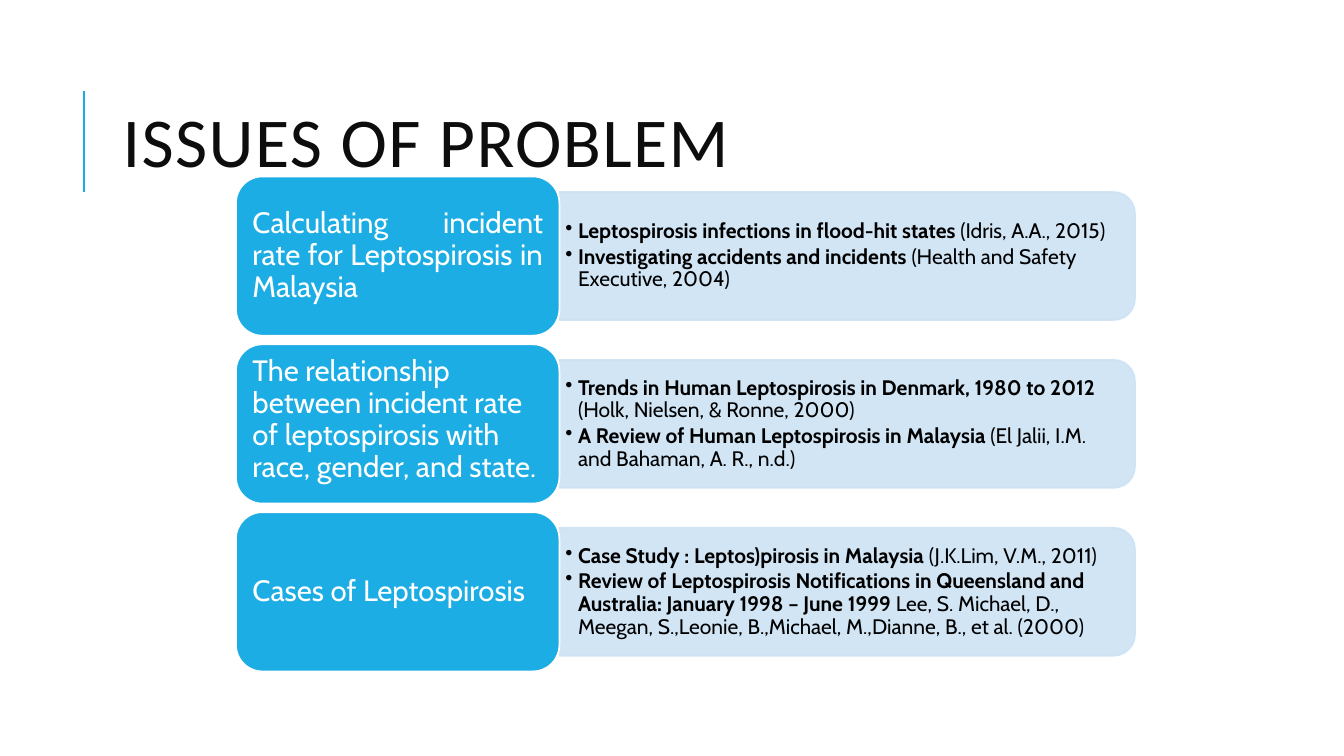
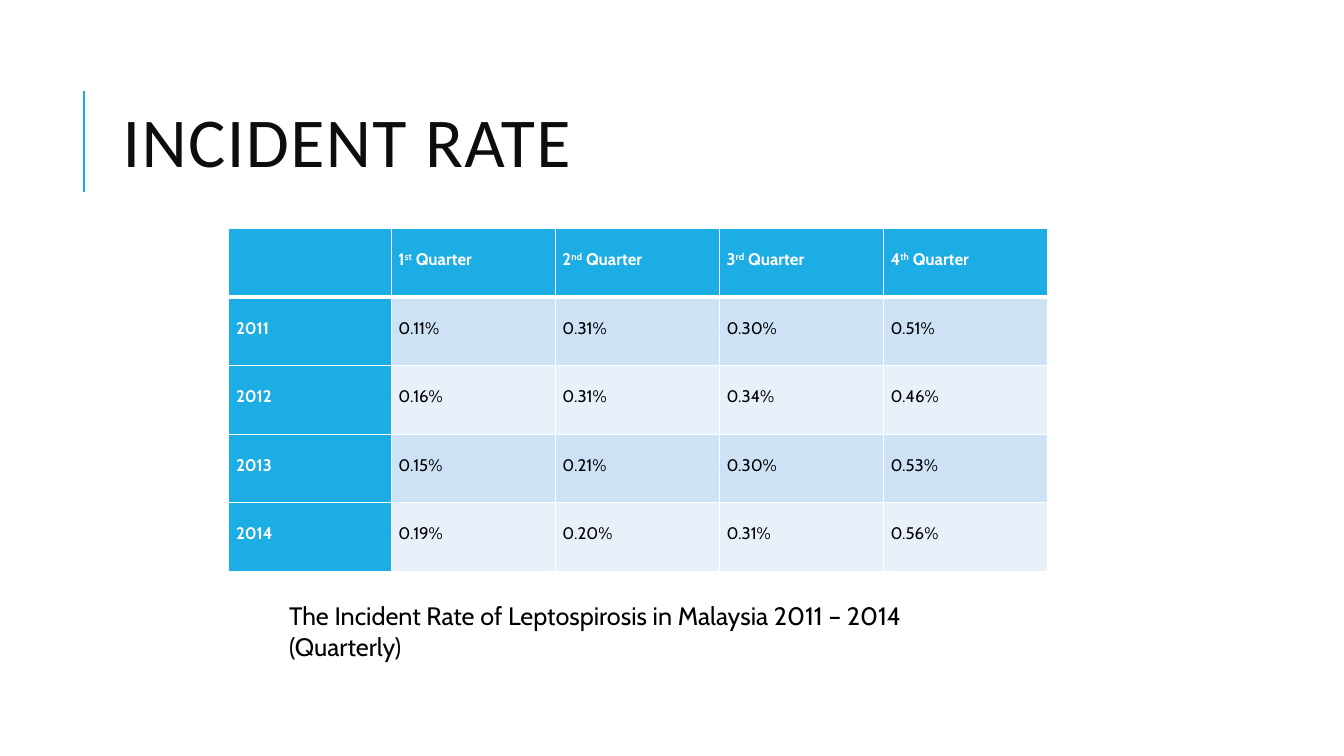
from lxml import etree
from pptx import Presentation
from pptx.dml.color import RGBColor
from pptx.enum.shapes import MSO_CONNECTOR, MSO_SHAPE
from pptx.enum.text import MSO_ANCHOR, PP_ALIGN
from pptx.oxml.ns import qn
from pptx.util import Pt

ROUNDED, TAB = MSO_SHAPE.ROUNDED_RECTANGLE, MSO_SHAPE.ROUND_2_SAME_RECTANGLE
STRAIGHT = MSO_CONNECTOR.STRAIGHT
TOP, MIDDLE = MSO_ANCHOR.TOP, MSO_ANCHOR.MIDDLE
LEFT, JUSTIFY = PP_ALIGN.LEFT, PP_ALIGN.JUSTIFY


def rgb(value):
    return RGBColor.from_string(value)


def write(frame, paragraphs, size=18, color="000000", font="Cabin", bold=False,
          align=LEFT, line=1.0, after=0, bullet=0, tracking=0,
          anchor=TOP, margins=(7.2, 3.6)):
    """Fill a frame; each paragraph is a list of (text, run options)."""
    frame.word_wrap = True
    frame.vertical_anchor = anchor
    frame.margin_left = frame.margin_right = Pt(margins[0])
    frame.margin_top = frame.margin_bottom = Pt(margins[1])
    for index, runs in enumerate(paragraphs):
        paragraph = frame.add_paragraph() if index else frame.paragraphs[0]
        paragraph.alignment = align
        paragraph.line_spacing = line
        paragraph.space_after = Pt(after)
        if bullet:
            properties = paragraph._p.get_or_add_pPr()
            properties.set("marL", str(Pt(bullet)))
            properties.set("indent", str(-Pt(bullet)))
            etree.SubElement(properties, qn("a:buChar"), char="•")
        for text, options in runs:
            run = paragraph.add_run()
            run.text = text
            run.font.name = font
            run.font.size = Pt(size)
            run.font.bold = options.get("bold", bold)
            run.font.color.rgb = rgb(color)
            properties = run._r.get_or_add_rPr()
            if tracking:
                properties.set("spc", str(tracking * 100))
            if options.get("superscript"):
                properties.set("baseline", "30000")


def plain(text):
    return [[(text, {})]]


class Deck:
    accent, pale, paler = "1CADE4", "CDE3F5", "E8F1FA"
    white, title_ink = "FFFFFF", "0D0D0D"

    def __init__(self):
        self.file = Presentation()
        self.file.slide_width, self.file.slide_height = Pt(960), Pt(540)
        self.slide = None

    def new_slide(self, title):
        self.slide = self.file.slides.add_slide(self.file.slide_layouts[6])
        self.rule(60, 136.8, 60, 64.8)
        self.text(80.6, 46.1, 765.4, 118.1, plain(title), size=50, font="Calibri",
                  color=self.title_ink, line=0.8, tracking=1, anchor=MIDDLE)

    def rule(self, x1, y1, x2, y2):
        rule = self.slide.shapes.add_connector(STRAIGHT, Pt(x1), Pt(y1), Pt(x2), Pt(y2))
        rule.line.color.rgb = rgb(self.accent)
        rule.line.width = Pt(1.5)
        etree.SubElement(rule._element.spPr, qn("a:effectLst"))

    def text(self, left, top, width, height, paragraphs, **style):
        box = self.slide.shapes.add_textbox(Pt(left), Pt(top), Pt(width), Pt(height))
        write(box.text_frame, paragraphs, **style)

    def shape(self, kind, left, top, width, height, fill, line, opacity=100):
        shape = self.slide.shapes.add_shape(kind, Pt(left), Pt(top), Pt(width), Pt(height))
        shape.shadow.inherit = False
        shape.fill.solid()
        shape.fill.fore_color.rgb = rgb(fill)
        shape.line.color.rgb = rgb(line)
        shape.line.width = Pt(1.25)
        if opacity < 100:
            for color in shape._element.spPr.iter(qn("a:srgbClr")):
                etree.SubElement(color, qn("a:alpha"), val=str(opacity * 1000))
        return shape

    def side_tab(self, left, middle, width, height):
        # Turned a quarter so that the rounded corners face right
        tab = self.shape(TAB, left + (width - height) / 2, middle - width / 2,
                         height, width, self.pale, self.pale, opacity=90)
        tab.rotation = 90

    def table(self, left, top, widths, row_height, rows):
        count = len(rows)
        table = self.slide.shapes.add_table(
            count, len(widths), Pt(left), Pt(top),
            Pt(sum(widths)), Pt(row_height * count)).table
        table.first_row = table.horz_banding = False
        for column, width in zip(table.columns, widths):
            column.width = Pt(width)
        for r, row in enumerate(rows):
            table.rows[r].height = Pt(row_height)
            for c, runs in enumerate(row):
                header = r == 0 or c == 0
                band = self.pale if r % 2 else self.paler
                self.cell(table.cell(r, c), runs, header, self.accent if header else band,
                          top=3 if r == 1 else 1, bottom=3 if r == 0 else 1)

    def cell(self, cell, runs, header, fill, top, bottom):
        properties = cell._tc.get_or_add_tcPr()
        for side, width in (("L", 1), ("R", 1), ("T", top), ("B", bottom)):
            border = etree.SubElement(properties, qn("a:ln" + side), w=str(Pt(width)))
            paint = etree.SubElement(border, qn("a:solidFill"))
            etree.SubElement(paint, qn("a:srgbClr"), val=self.white)
        cell.fill.solid()
        cell.fill.fore_color.rgb = rgb(fill)
        cell.margin_left = cell.margin_right = Pt(5.2)
        cell.margin_top = cell.margin_bottom = 0
        if runs:
            frame = cell.text_frame
            write(frame, [runs], size=12, bold=header, margins=(5.2, 0), align=JUSTIFY,
                  color=self.white if header else "000000", line=2.0, after=8)


deck = Deck()

# Slide 1: each issue with its supporting literature
deck.new_slide("ISSUES OF PROBLEM")
issues = [
    ("Calculating incident rate for Leptospirosis in Malaysia", JUSTIFY, MIDDLE, [
        ("Leptospirosis infections in flood-hit states ", "(Idris, A.A., 2015)"),
        ("Investigating accidents and incidents ", "(Health and Safety Executive, 2004)")]),
    ("The relationship between incident rate of leptospirosis with race, gender, and state.",
     LEFT, TOP, [
         ("Trends in Human Leptospirosis in Denmark, 1980 to 2012 ",
          "(Holk, Nielsen, & Ronne, 2000)"),
         ("A Review of Human Leptospirosis in Malaysia ",
          "(El Jalii, I.M. and Bahaman, A. R., n.d.)")]),
    ("Cases of Leptospirosis", JUSTIFY, MIDDLE, [
        ("Case Study : Leptos)pirosis in Malaysia ", "(J.K.Lim, V.M., 2011)"),
        ("Review of Leptospirosis Notifications in Queensland and Australia: "
         "January 1998 – June 1999 ",
         "Lee, S. Michael, D., Meegan, S.,Leonie, B.,Michael, M.,Dianne, B., et al. (2000)")]),
]
ISSUE_LEFT, ISSUE_TOP, ISSUE_WIDTH, ISSUE_HEIGHT, PITCH = 168.5, 126, 231.1, 113.8, 119.9
SOURCES_LEFT = ISSUE_LEFT + ISSUE_WIDTH
for number, (issue, align, anchor, sources) in enumerate(issues):
    top = ISSUE_TOP + number * PITCH
    middle = top + ISSUE_HEIGHT / 2
    deck.side_tab(SOURCES_LEFT, middle, 411.1, 91.4)
    citations = [[(work, {"bold": True}), (author, {})] for work, author in sources]
    deck.text(SOURCES_LEFT, middle - 41, 406, 82, citations, size=15, line=0.9,
              after=2, bullet=9, anchor=MIDDLE, margins=(4.3, 2.2))
    heading = deck.shape(ROUNDED, ISSUE_LEFT, top, ISSUE_WIDTH, ISSUE_HEIGHT,
                         deck.accent, deck.white)
    write(heading.text_frame, plain(issue), size=21, color=deck.white, line=0.9,
          align=align, anchor=anchor, margins=(6.3, 3.2))

# Slide 2: quarterly rates
deck.new_slide("INCIDENT RATE")
quarters = [[(str(number), {}), (ending, {"superscript": True}), (" Quarter", {})]
            for number, ending in enumerate(("st", "nd", "rd", "th"), 1)]
rates = {
    "2011": (0.11, 0.31, 0.30, 0.51),
    "2012": (0.16, 0.31, 0.34, 0.46),
    "2013": (0.15, 0.21, 0.30, 0.53),
    "2014": (0.19, 0.20, 0.31, 0.56),
}
rows = [[None] + quarters]
for year, values in rates.items():
    rows.append([[(year, {})]] + [[(f"{value:.2f}%", {})] for value in values])
deck.table(163.4, 163.4, [116] + [117.2] * 4, 48.96, rows)
deck.text(199.4, 425.5, 528.5, 29,
          plain("The Incident Rate of Leptospirosis in Malaysia 2011 – 2014 (Quarterly)"))

deck.file.save("out.pptx")
